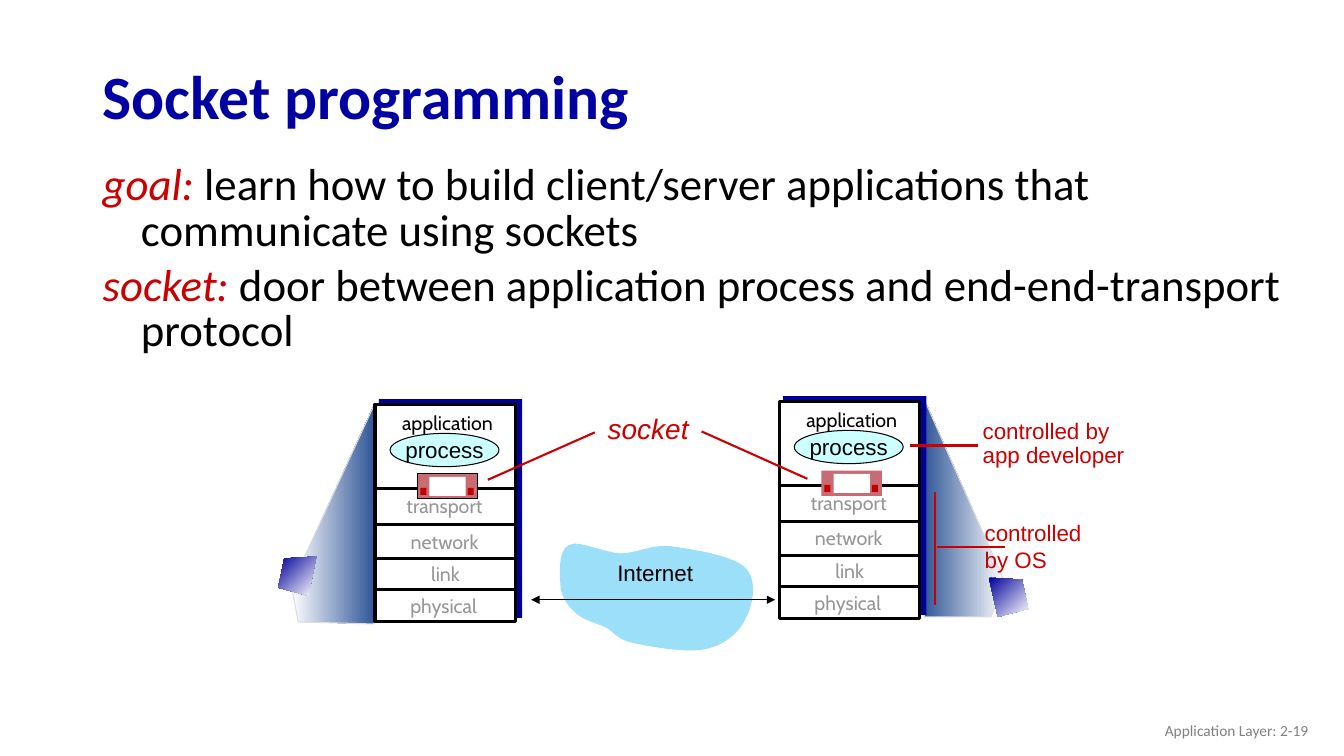
from typing import NamedTuple

from lxml.etree import SubElement
from pptx import Presentation
from pptx.dml.color import RGBColor
from pptx.enum.shapes import MSO_CONNECTOR, MSO_SHAPE as Kind
from pptx.enum.text import MSO_ANCHOR as Anchor, PP_ALIGN as Align
from pptx.oxml.ns import qn
from pptx.util import Pt

PX = 9144  # EMU per px, 100 px to the inch
RED, NAVY, BLACK, WHITE, GREY = "CC0000", "000099", "000000", "FFFFFF", "969696"
Point = tuple[int, int]
Box = tuple[int, int, int, int]


class Style(NamedTuple):
    font: str
    size: int
    color: str = BLACK
    align: Align = Align.LEFT
    space: float = 1.0
    bold: bool = False
    slant: bool = False


class Label(NamedTuple):
    text: str
    box: Box
    style: Style
    anchor: Anchor = Anchor.TOP


class Wire(NamedTuple):
    start: Point
    end: Point
    color: str = RED
    width: float = 1.5
    arrows: bool = False


class Host(NamedTuple):
    x: int
    y: int
    edge: str | None


class Patch(NamedTuple):
    points: list[Point]
    first: str
    last: str
    angle: int
    edge: str | None = None


CABIN = Style("Cabin", 14, GREY, Align.CENTER, 1.1)
ARIAL = Style("Arial", 16, align=Align.CENTER)
NOTE = Style("Arial", 16, RED)
TITLE = Style("Calibri", 44, "0000A3", space=0.9, bold=True)
FOOTER = Style("Calibri", 11, "808080", Align.RIGHT)

HOSTS = [Host(372, 401, BLACK), Host(773, 398, None)]
# Text, then left and top within a host
LAYERS = [("application", 0, -1), ("transport", -3, 82), ("network", -3, 117),
          ("link", -2, 149), ("physical", -4, 181)]
RULES = [84, 119, 153, 184]

LABELS = [
    Label("Socket programming", (92, 50, 1150, 98), TITLE, Anchor.MIDDLE),
    Label("Internet", (592, 550, 116, 37), ARIAL),
    Label("controlled\nby OS", (967, 510, 136, 90), NOTE),
    Label("controlled by\napp developer", (965, 412, 181, 58), NOTE._replace(space=0.9)),
    Label("socket", (593, 407, 120, 40), NOTE._replace(size=20, space=0.9, slant=True)),
    Label("Application Layer: 2-19", (1008, 705, 300, 40), FOOTER, Anchor.MIDDLE),
]
GOALS = [
    ("goal:", " learn how to build client/server applications that communicate using sockets"),
    ("socket:", " door between application process and end-end-transport protocol"),
]
WIRES = [
    Wire((970, 442), (903, 442)),
    Wire((928, 488), (928, 600)),
    Wire((997, 543), (930, 543)),
    Wire((484, 476), (590, 429)),
    Wire((801, 475), (696, 428)),
]
BEAMS = [
    Patch([(997, 578), (916, 394), (917, 612), (983, 612)], WHITE, "2F5597", 180, "DDDDDD"),
    Patch([(289, 581), (372, 400), (371, 619), (296, 617)], WHITE, "2F5597", 0, "DDDDDD"),
]
SCREENS = [
    Patch([(314, 552), (282, 554), (276, 583), (306, 591)], NAVY, WHITE, 315),
    Patch([(981, 573), (1014, 575), (1020, 604), (990, 612)], NAVY, WHITE, 315),
]
# Bezier knots of the cloud: a start, then two controls and an end per curve
CLOUD = [(556, 580), (555, 568), (554, 546), (564, 541), (573, 535), (598, 548), (615, 549),
         (632, 549), (645, 540), (666, 542), (687, 545), (727, 551), (739, 563),
         (752, 575), (747, 600), (740, 613), (734, 627), (719, 640), (700, 644),
         (682, 648), (646, 642), (629, 638), (612, 635), (610, 627), (600, 622),
         (591, 618), (578, 615), (571, 608), (563, 601), (556, 591), (556, 580)]

deck = Presentation()
deck.slide_width, deck.slide_height = 4000 * PX // 3, 750 * PX
shapes = deck.slides.add_slide(deck.slide_layouts[6]).shapes


def rgb(color: str) -> RGBColor:
    return RGBColor.from_string(color)


def paint(shape, fill: str | None, edge: str | None = None, width: float = 0.75) -> None:
    shape.shadow.inherit = False
    if fill:
        shape.fill.solid()
        shape.fill.fore_color.rgb = rgb(fill)
    if edge:
        shape.line.color.rgb = rgb(edge)
        shape.line.width = Pt(width)
    else:
        shape.line.fill.background()


def block(kind: Kind, box: Box, fill: str, edge: str | None = None, width: float = 0.75):
    shape = shapes.add_shape(kind, *(n * PX for n in box))
    paint(shape, fill, edge, width)
    return shape


def outline(points: list[Point]):
    spots = [(x * PX, y * PX) for x, y in points]
    pen = shapes.build_freeform(*spots[0])
    pen.add_line_segments(spots[1:], close=True)
    return pen.convert_to_shape()


def bend(shape) -> None:
    """Turn every three straight segments into one Bezier curve."""
    lines = list(shape.element.iter(qn("a:lnTo")))
    for first, *others in zip(lines[::3], lines[1::3], lines[2::3]):
        curve = first.getparent().makeelement(qn("a:cubicBezTo"))
        first.addprevious(curve)
        for line in (first, *others):
            curve.append(line[0])
            line.getparent().remove(line)


def shade(patch: Patch) -> None:
    shape = outline(patch.points)
    paint(shape, None, patch.edge)
    shape.fill.gradient()
    shape.fill.gradient_angle = patch.angle
    for stop, color, spot in zip(shape.fill.gradient_stops, (patch.first, patch.last), (0, 1)):
        stop.color.rgb = rgb(color)
        stop.position = spot


def format_text(para, style: Style) -> None:
    para.alignment, para.line_spacing = style.align, style.space
    font = para.font
    font.name, font.size, font.color.rgb = style.font, Pt(style.size), rgb(style.color)
    font.bold, font.italic = style.bold, style.slant


def frame_for(box: Box, anchor: Anchor = Anchor.TOP):
    frame = shapes.add_textbox(*(n * PX for n in box)).text_frame
    frame.word_wrap, frame.vertical_anchor = True, anchor
    return frame


def write(label: Label) -> None:
    frame = frame_for(label.box, label.anchor)
    frame.text = label.text
    for para in frame.paragraphs:
        format_text(para, label.style)


def write_goals() -> None:
    frame = frame_for((92, 158, 1217, 168))
    for i, (term, rest) in enumerate(GOALS):
        para = frame.add_paragraph() if i else frame.paragraphs[0]
        for text, color in ((term, RED), (rest, BLACK)):
            run = para.add_run()
            run.text = text
            run.font.color.rgb, run.font.italic = rgb(color), color == RED
        format_text(para, Style("Calibri", 32, space=0.85))
        para.space_before = Pt(6.4 * i)
        props = para._p.get_or_add_pPr()
        props.set("marL", str(38 * PX))
        props.set("indent", str(-38 * PX))


def link(wire: Wire) -> None:
    ends = (n * PX for n in wire.start + wire.end)
    item = shapes.add_connector(MSO_CONNECTOR.STRAIGHT, *ends)
    item.line.color.rgb, item.line.width = rgb(wire.color), Pt(wire.width)
    props = item.element.spPr
    if wire.arrows:
        for tip in ("a:headEnd", "a:tailEnd"):
            SubElement(props.find(qn("a:ln")), qn(tip), type="triangle")
    SubElement(props, qn("a:effectLst"))


def draw_host(host: Host) -> None:
    x, y = host.x, host.y
    block(Kind.RECTANGLE, (x + 4, y - 5, 142, 217), NAVY)
    block(Kind.RECTANGLE, (x, y, 139, 216), WHITE, BLACK, 2.25)
    for top in RULES:
        link(Wire((x + 1, y + top), (x + 139, y + top), BLACK, 2.25))
    for text, left, top in LAYERS:
        color = BLACK if text == "application" else GREY
        write(Label(text, (x + left, y + top, 144, 36), CABIN._replace(color=color)))
    oval = block(Kind.OVAL, (x + 15, y + 29, 108, 33), "CCFFFF", BLACK)
    frame = oval.text_frame
    frame.text, frame.word_wrap, frame.vertical_anchor = "process", False, Anchor.MIDDLE
    format_text(frame.paragraphs[0], ARIAL)
    block(Kind.RECTANGLE, (x + 42, y + 69, 60, 25), "C96B72", host.edge)
    block(Kind.RECTANGLE, (x + 54, y + 72, 36, 19), WHITE)
    for left in (45, 92):
        block(Kind.RECTANGLE, (x + left, y + 83, 6, 7), "C00000")


for beam in BEAMS:
    shade(beam)
cloud = outline(CLOUD)
bend(cloud)
paint(cloud, "9CDFF9")
link(Wire((527, 595), (769, 595), BLACK, 0.75, True))
for host in HOSTS:
    draw_host(host)
for wire in WIRES:
    link(wire)
for screen in SCREENS:
    shade(screen)
for label in LABELS:
    write(label)
write_goals()
deck.save("out.pptx")
